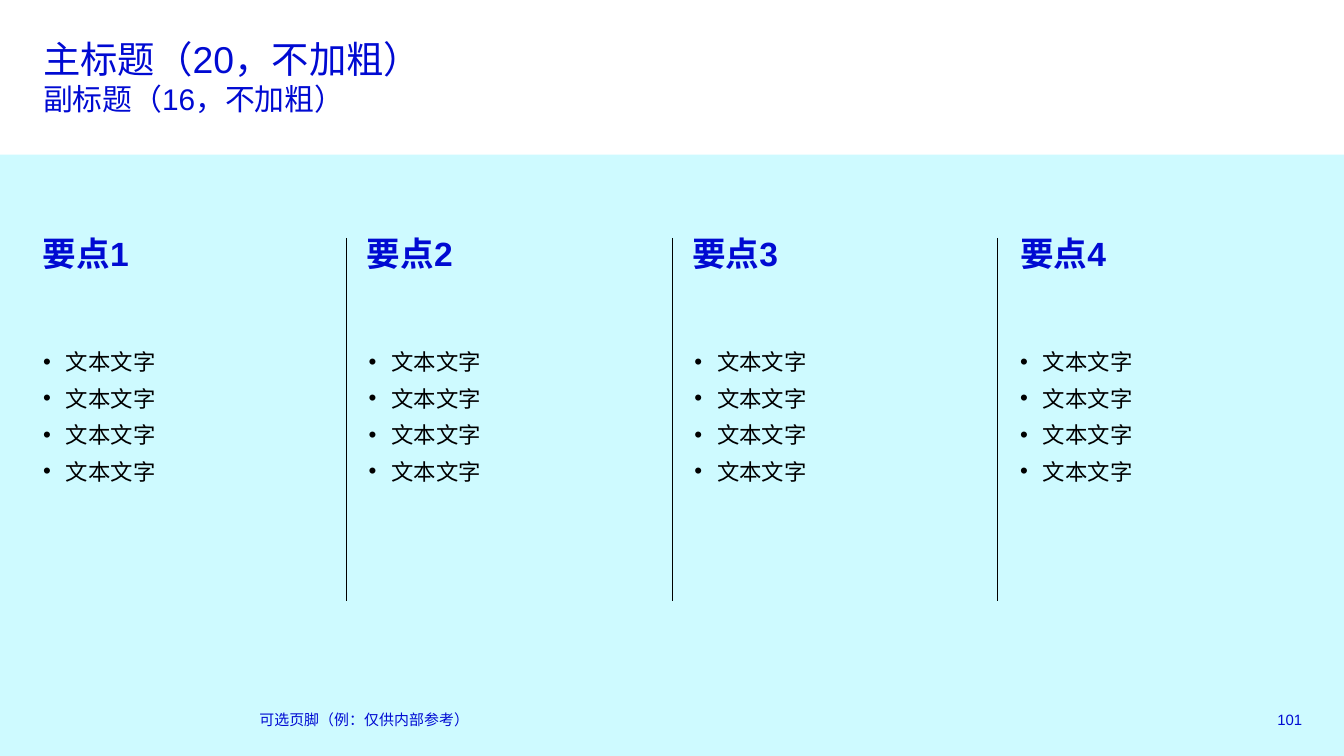
import pptx
import pptx.dml.color
import pptx.enum.shapes
import pptx.enum.text
import pptx.oxml
import pptx.oxml.ns
import pptx.util
from pptx.util import Inches

BLUE, BLACK, AQUA = "000AD2", "000000", "5FF0FF"
WIDE = 10
HIGH = WIDE * 9 / 16
ALIGN = pptx.enum.text.PP_ALIGN
ANCHOR = pptx.enum.text.MSO_ANCHOR


def color(code):
    return pptx.dml.color.RGBColor.from_string(code)


def node(tag, **attrs):
    item = pptx.oxml.parse_xml(f"<a:{tag} {pptx.oxml.ns.nsdecls('a')}/>")
    for key, value in attrs.items():
        item.set(key, str(value))
    return item


class Deck:
    font = "Arial"

    def __init__(self):
        self.prs = pptx.Presentation()
        self.prs.slide_width = Inches(WIDE)
        self.prs.slide_height = Inches(HIGH)
        # The comparison layout has a title and four body placeholders.
        self.slide = self.prs.slides.add_slide(self.prs.slide_layouts[4])
        self.shapes = self.slide.shapes

    def place(self, shape, box):
        shape.left, shape.top, shape.width, shape.height = map(Inches, box)

    def frame(self, shape, anchor=ANCHOR.TOP):
        """Return the shape's text frame without margins or autofit."""
        frame = shape.text_frame
        frame.margin_left = frame.margin_right = 0
        frame.margin_top = frame.margin_bottom = 0
        frame.word_wrap = True
        frame.auto_size = pptx.enum.text.MSO_AUTO_SIZE.NONE
        frame.vertical_anchor = anchor
        return frame

    def run(self, para, text, size, code=BLUE, bold=False):
        run = para.add_run()
        run.text = text
        run.font.name = self.font
        run.font.size = pptx.util.Pt(size)
        run.font.bold = bold
        run.font.color.rgb = color(code)

    def panel(self, box, code, alpha):
        """Add a translucent rectangle behind everything else."""
        kind = pptx.enum.shapes.MSO_SHAPE.RECTANGLE
        shape = self.shapes.add_shape(kind, *map(Inches, box))
        shape.shadow.inherit = False
        shape.fill.solid()
        shape.fill.fore_color.rgb = color(code)
        shape.line.fill.background()
        tint = shape.element.find(".//" + pptx.oxml.ns.qn("a:srgbClr"))
        tint.append(node("alpha", val=alpha * 1000))
        shape.element.getparent().insert(2, shape.element)

    def title(self, box, main, sub):
        shape = self.shapes.title
        self.place(shape, box)
        para = self.frame(shape).paragraphs[0]
        para.alignment = ALIGN.LEFT
        self.run(para, main, 20)
        para.add_line_break()
        self.run(para, sub, 16)

    def text(self, box, text, size, bold=False, align=ALIGN.LEFT,
             anchor=ANCHOR.TOP):
        shape = self.shapes.add_textbox(*map(Inches, box))
        para = self.frame(shape, anchor).paragraphs[0]
        para.alignment = align
        self.run(para, text, size, bold=bold)

    def list(self, index, box, items):
        shape = self.slide.placeholders[index]
        self.place(shape, box)
        frame = self.frame(shape)
        for i, item in enumerate(items):
            para = frame.add_paragraph() if i else frame.paragraphs[0]
            para.level = 1
            props = para._p.get_or_add_pPr()
            props.set("marL", str(Inches(0.17)))
            props.set("indent", str(Inches(-0.17)))
            props.append(node("buChar", char="•"))
            para.space_before = pptx.util.Pt(5.2 if i else 0)
            self.run(para, item, 12, BLACK)

    def rule(self, x, top, end):
        kind = pptx.enum.shapes.MSO_CONNECTOR.STRAIGHT
        line = self.shapes.add_connector(
            kind, Inches(x), Inches(top), Inches(x), Inches(end))
        line.line.color.rgb = color(BLACK)
        line.line.width = pptx.util.Pt(0.5)
        line.element.spPr.append(node("effectLst"))


def main():
    deck = Deck()
    deck.panel((0, 1.15, WIDE, HIGH - 1.15), AQUA, 30)
    deck.title((0.32, 0.27, 9.37, 0.41),
               "主标题（20，不加粗）", "副标题（16，不加粗）")

    left, last, wide = 0.32, 7.59, 2.1
    step = (last - left) / 3
    heads = (left, 2.73, 5.15, last)
    for i, head in enumerate(heads):
        deck.text((head, 1.73, wide, 0.53), f"要点{i + 1}", 18, bold=True)
        deck.list(i + 1, (left + i * step, 2.59, wide, 2.12),
                  ["文本文字"] * 4)
    for side in (-1, 0, 1):
        deck.rule(WIDE / 2 + side * 2.42, 1.77, 4.47)

    deck.text((1.93, 5.28, 6.46, 0.15), "可选页脚（例：仅供内部参考）", 8,
              anchor=ANCHOR.MIDDLE)
    deck.text((9.3, 5.28, 0.39, 0.15), "101", 8, align=ALIGN.RIGHT,
              anchor=ANCHOR.MIDDLE)
    deck.prs.save("out.pptx")


if __name__ == "__main__":
    main()
